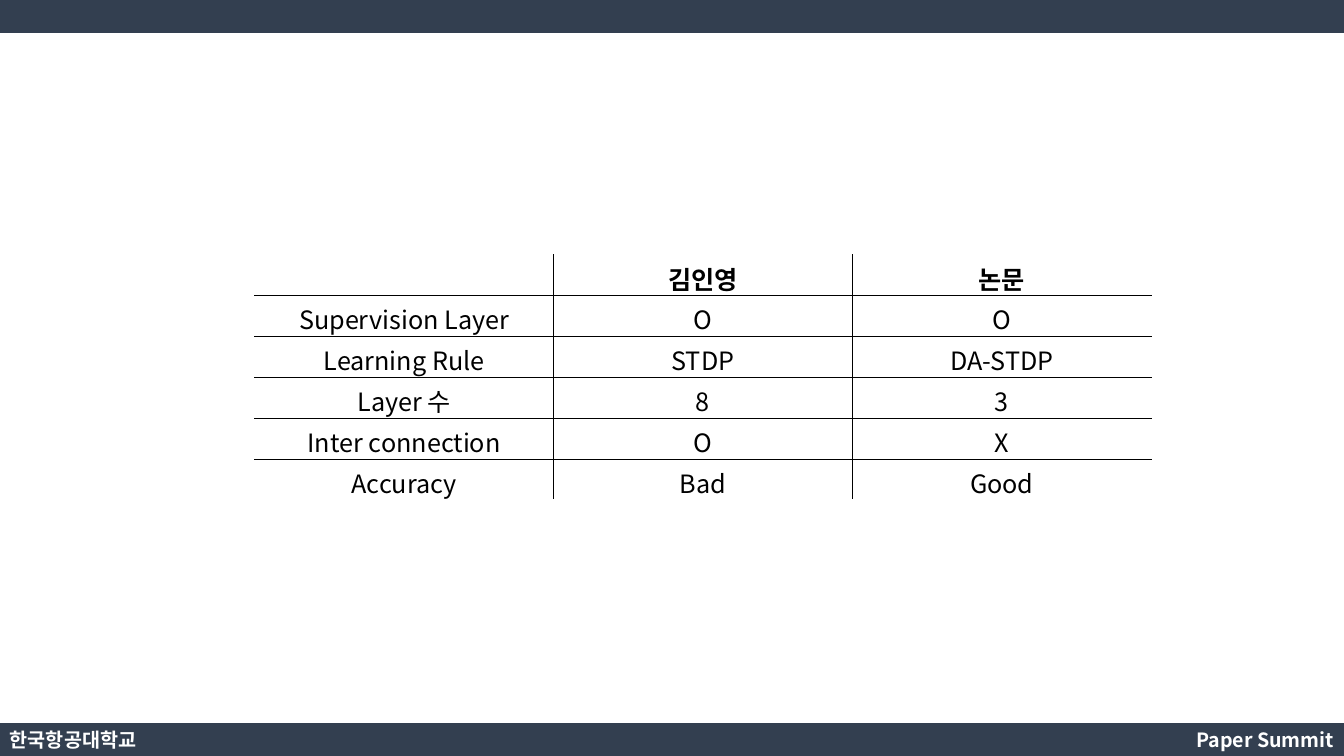
from dataclasses import dataclass

from lxml import etree
from pptx import Presentation
from pptx.dml.color import RGBColor
from pptx.enum.shapes import MSO_SHAPE
from pptx.enum.text import PP_ALIGN
from pptx.oxml.ns import qn
from pptx.util import Cm, Pt

RECT = MSO_SHAPE.RECTANGLE
LEFT, MID, RIGHT = PP_ALIGN.LEFT, PP_ALIGN.CENTER, PP_ALIGN.RIGHT
FONT = "Noto Sans CJK KR"
NAVY, WHITE, BLACK = "333F50", "FFFFFF", "000000"
WIDE, HIGH, BAR = 33.87, 19.05, 0.83
COL, ROW = 7.53, 1.03
ROWS = [
    ("", "김인영", "논문"),
    ("Supervision Layer", "O", "O"),
    ("Learning Rule", "STDP", "DA-STDP"),
    ("Layer 수", "8", "3"),
    ("Inter connection", "O", "X"),
    ("Accuracy", "Bad", "Good"),
]


@dataclass
class Label:
    text: str
    left: float
    width: float
    align: PP_ALIGN


LABELS = [
    Label("한국항공대학교", 0, 4.11, LEFT),
    Label("Paper Summit", 29.24, 4.63, RIGHT),
]


def tint(code: str) -> RGBColor:
    return RGBColor.from_string(code)


def write(frame, text: str, size: float, color: str, bold: bool, align) -> None:
    para = frame.paragraphs[0]
    para.text = text
    para.alignment = align
    for run in para.runs:
        font = run.font
        font.name, font.size, font.bold = FONT, Pt(size), bold
        font.color.rgb = tint(color)
        east = etree.SubElement(font._element, qn("a:ea"))
        east.set("typeface", FONT)


def draw_bar(slide, top: float) -> None:
    bar = slide.shapes.add_shape(RECT, 0, Cm(top), Cm(WIDE), Cm(BAR))
    bar.shadow.inherit = False
    bar.fill.solid()
    bar.fill.fore_color.rgb = tint(NAVY)
    bar.line.fill.background()


def draw_label(slide, label: Label) -> None:
    box = slide.shapes.add_textbox(
        Cm(label.left), Cm(18.21), Cm(label.width), Cm(0.86))
    box.text_frame.word_wrap = True
    write(box.text_frame, label.text, 14, WHITE, True, label.align)


def edge(cell, side: str, color: str) -> None:
    line = etree.SubElement(
        cell._tc.get_or_add_tcPr(), qn(f"a:ln{side}"), w=str(Pt(1)))
    fill = etree.SubElement(line, qn("a:solidFill"))
    etree.SubElement(fill, qn("a:srgbClr"), val=color)


def draw_table(slide) -> None:
    """Rule the inside of the grid in black and its outside in white."""
    rows, cols = len(ROWS), len(ROWS[0])
    table = slide.shapes.add_table(
        rows, cols, Cm(6.42), Cm(6.42), Cm(cols * COL), Cm(rows * ROW)).table
    table.first_row = table.horz_banding = False
    for col in table.columns:
        col.width = Cm(COL)
    for r, texts in enumerate(ROWS):
        table.rows[r].height = Cm(ROW)
        for c, text in enumerate(texts):
            cell = table.cell(r, c)
            write(cell.text_frame, text, 18, BLACK, r == 0, MID)
            outer = {"L": c == 0, "R": c == cols - 1,
                     "T": r == 0, "B": r == rows - 1}
            for side, out in outer.items():
                edge(cell, side, WHITE if out else BLACK)
            cell.fill.background()


def main() -> None:
    deck = Presentation()
    deck.slide_width, deck.slide_height = Cm(WIDE), Cm(HIGH)
    slide = deck.slides.add_slide(deck.slide_layouts[6])
    for top in (0, HIGH - BAR):
        draw_bar(slide, top)
    for label in LABELS:
        draw_label(slide, label)
    draw_table(slide)
    deck.save("out.pptx")


if __name__ == "__main__":
    main()
